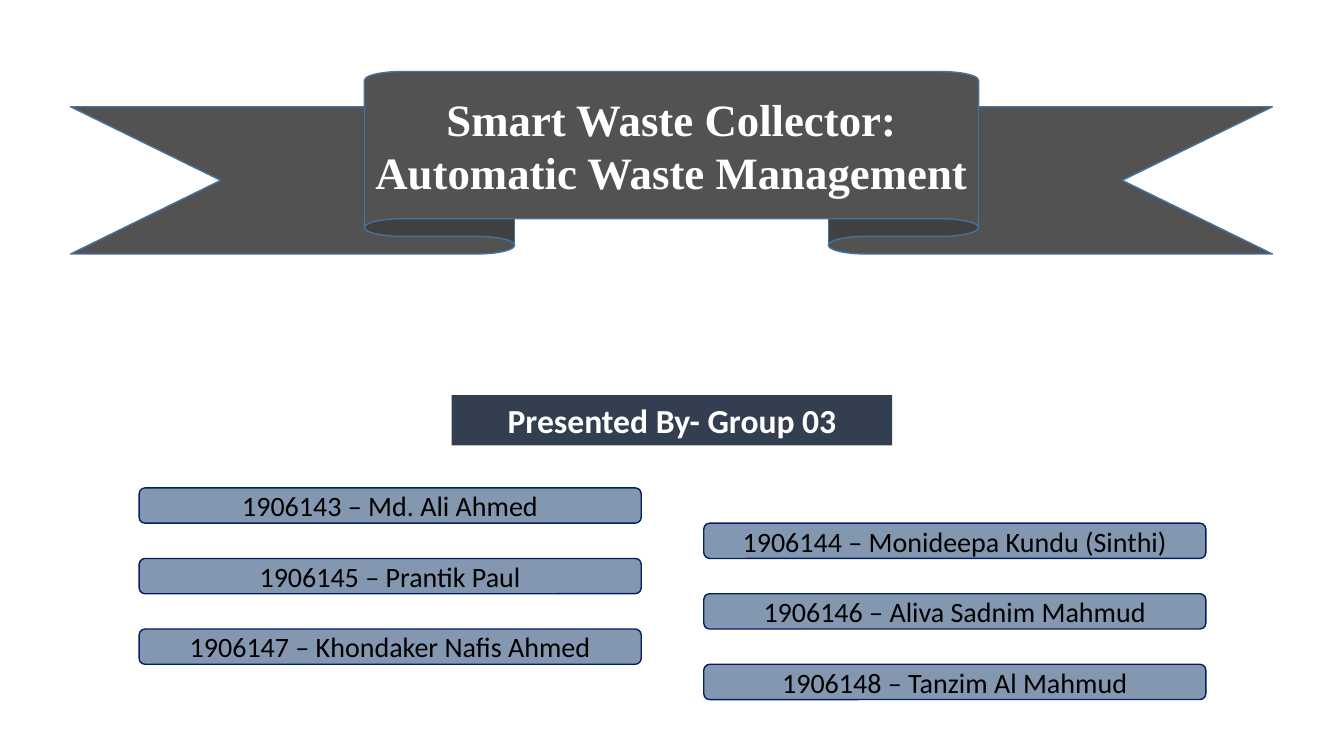
"""Build the title slide of the Smart Waste Collector presentation."""
from pptx import Presentation
from pptx.dml.color import RGBColor
from pptx.enum.shapes import MSO_SHAPE as Shape
from pptx.enum.text import MSO_ANCHOR as Anchor, PP_ALIGN as Align
from pptx.util import Pt

PX = 9144
THEME = {
    "ribbon": {"fill": "525252", "line": "43739E", "text": "FFFFFF",
               "font": "Times New Roman", "size": 32, "bold": True},
    "group": {"fill": "333F50", "line": None, "text": "FFFFFF",
              "font": "Calibri", "size": 24, "bold": True},
    "member": {"fill": "8497B0", "line": "002060", "text": "000000",
               "font": "Calibri", "size": 20, "bold": False},
}


def add_label(kind, box, text, style, anchor=Anchor.MIDDLE):
    label = slide.shapes.add_shape(kind, *(n * PX for n in box))
    label.shadow.inherit = False
    label.fill.solid()
    label.fill.fore_color.rgb = RGBColor.from_string(style["fill"])
    if style["line"]:
        label.line.color.rgb = RGBColor.from_string(style["line"])
        label.line.width = Pt(1)
    else:
        label.line.fill.background()
    frame = label.text_frame
    frame.text = text
    frame.word_wrap = True
    frame.vertical_anchor = anchor
    paragraph = frame.paragraphs[0]
    paragraph.alignment = Align.CENTER
    font = paragraph.runs[0].font
    font.name = style["font"]
    font.size = Pt(style["size"])
    font.bold = style["bold"]
    font.color.rgb = RGBColor.from_string(style["text"])
    return label


prs = Presentation()
prs.slide_width = 1333 * PX
prs.slide_height = 750 * PX
slide = prs.slides.add_slide(prs.slide_layouts[6])

ribbon = add_label(Shape.UP_RIBBON, (70, 71, 1192, 181),
                   "Smart Waste Collector: Automatic Waste Management", THEME["ribbon"])
ribbon.adjustments[0] = 0.193
ribbon.adjustments[1] = 0.511

add_label(Shape.RECTANGLE, (448, 392, 437, 50),
          "Presented By- Group 03", THEME["group"], Anchor.TOP)

members = [
    "1906143 – Md. Ali Ahmed",
    "1906144 – Monideepa Kundu (Sinthi)",
    "1906145 – Prantik Paul",
    "1906146 – Aliva Sadnim Mahmud",
    "1906147 – Khondaker Nafis Ahmed",
    "1906148 – Tanzim Al Mahmud",
]
column_lefts = (138, 698)
first_top, member_height = 484, 35
for i, member in enumerate(members):
    box = (column_lefts[i % 2], first_top + i * member_height, 498, member_height)
    add_label(Shape.ROUNDED_RECTANGLE, box, member, THEME["member"])

prs.save("out.pptx")
